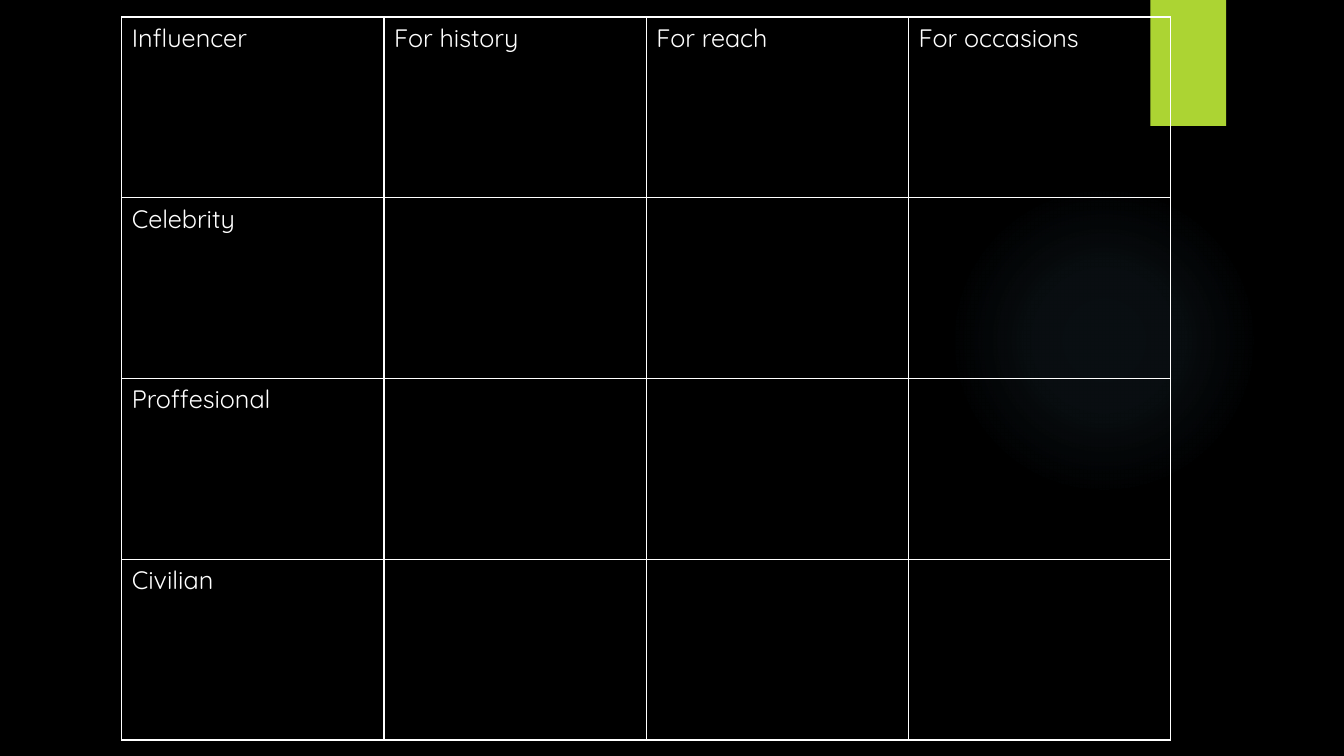
from lxml import etree
from pptx import Presentation
from pptx import oxml
from pptx import util as u
from pptx.dml.color import RGBColor
from pptx.enum import shapes
from pptx.oxml import ns

BLACK = RGBColor(0x00, 0x00, 0x00)
WHITE = RGBColor(0xFF, 0xFF, 0xFF)
LIME = RGBColor(0xAC, 0xD4, 0x33)
SKY = RGBColor(0x7A, 0xC4, 0xF0)

COLUMN_HEADS = ["Influencer", "For history", "For reach", "For occasions"]
ROW_HEADS = ["Celebrity", "Proffesional", "Civilian"]
GLOW_STOPS = [(0, 7), (36, 6), (69, 0)]


class SlideBuilder:
    text_format = {"name": "Quicksand", "size": u.Pt(18), "bold": False}
    text_color = WHITE
    border_color = WHITE
    border_width = u.Pt(1)

    def __init__(self, slide):
        self.slide = slide

    def background(self, color):
        fill = self.slide.background.fill
        fill.solid()
        fill.fore_color.rgb = color

    def shape(self, kind, left, top, width, height):
        """Add a preset shape without line or shadow."""
        shape = self.slide.shapes.add_shape(
            kind, u.Pt(left), u.Pt(top), u.Pt(width), u.Pt(height))
        shape.shadow.inherit = False
        shape.line.fill.background()
        return shape

    def block(self, left, top, width, height, color):
        shape = self.shape(shapes.MSO_SHAPE.RECTANGLE, left, top, width, height)
        shape.fill.solid()
        shape.fill.fore_color.rgb = color

    def glow(self, left, top, diameter, color, stops):
        """Add a circle that fades outwards; stops are (position, opacity) in percent."""
        shape = self.shape(shapes.MSO_SHAPE.OVAL, left, top, diameter, diameter)
        stop_xml = "".join(
            f'<a:gs pos="{position * 1000}"><a:srgbClr val="{color}">'
            f'<a:alpha val="{opacity * 1000}"/></a:srgbClr></a:gs>'
            for position, opacity in stops)
        gradient = oxml.parse_xml(
            f'<a:gradFill {ns.nsdecls("a")}><a:gsLst>{stop_xml}</a:gsLst>'
            '<a:path path="circle"><a:fillToRect l="50000" t="50000" r="50000" b="50000"/>'
            '</a:path></a:gradFill>')
        shape.element.spPr.find(ns.qn("a:prstGeom")).addnext(gradient)

    def cell_borders(self, cell):
        properties = cell._tc.get_or_add_tcPr()
        for side in ("lnL", "lnR", "lnT", "lnB"):
            line = etree.SubElement(properties, ns.qn(f"a:{side}"), w=str(int(self.border_width)))
            fill = etree.SubElement(line, ns.qn("a:solidFill"))
            etree.SubElement(fill, ns.qn("a:srgbClr"), val=str(self.border_color))

    def cell_text(self, cell, content):
        run = cell.text_frame.paragraphs[0].add_run()
        run.text = content
        for name, value in self.text_format.items():
            setattr(run.font, name, value)
        run.font.color.rgb = self.text_color

    def table(self, left, top, column_width, row_height, rows):
        row_count, column_count = len(rows), len(rows[0])
        table = self.slide.shapes.add_table(
            row_count, column_count, u.Pt(left), u.Pt(top),
            u.Pt(column_width * column_count), u.Pt(row_height * row_count)).table
        table.first_row = table.horz_banding = False
        for column in table.columns:
            column.width = u.Pt(column_width)
        for row, contents in zip(table.rows, rows):
            row.height = u.Pt(row_height)
            for cell, content in zip(row.cells, contents):
                self.cell_borders(cell)
                cell.fill.background()
                if content:
                    self.cell_text(cell, content)


def main():
    presentation = Presentation()
    presentation.slide_width, presentation.slide_height = u.Pt(960), u.Pt(540)
    builder = SlideBuilder(presentation.slides.add_slide(presentation.slide_layouts[6]))
    builder.background(BLACK)
    builder.glow(677.5, 131.8, 221.8, SKY, GLOW_STOPS)
    builder.block(821.8, 0, 54, 90, LIME)
    empty_cells = [""] * (len(COLUMN_HEADS) - 1)
    rows = [COLUMN_HEADS] + [[head] + empty_cells for head in ROW_HEADS]
    builder.table(87, 12.2, 187.35, 129.1, rows)
    presentation.save("out.pptx")


if __name__ == "__main__":
    main()
